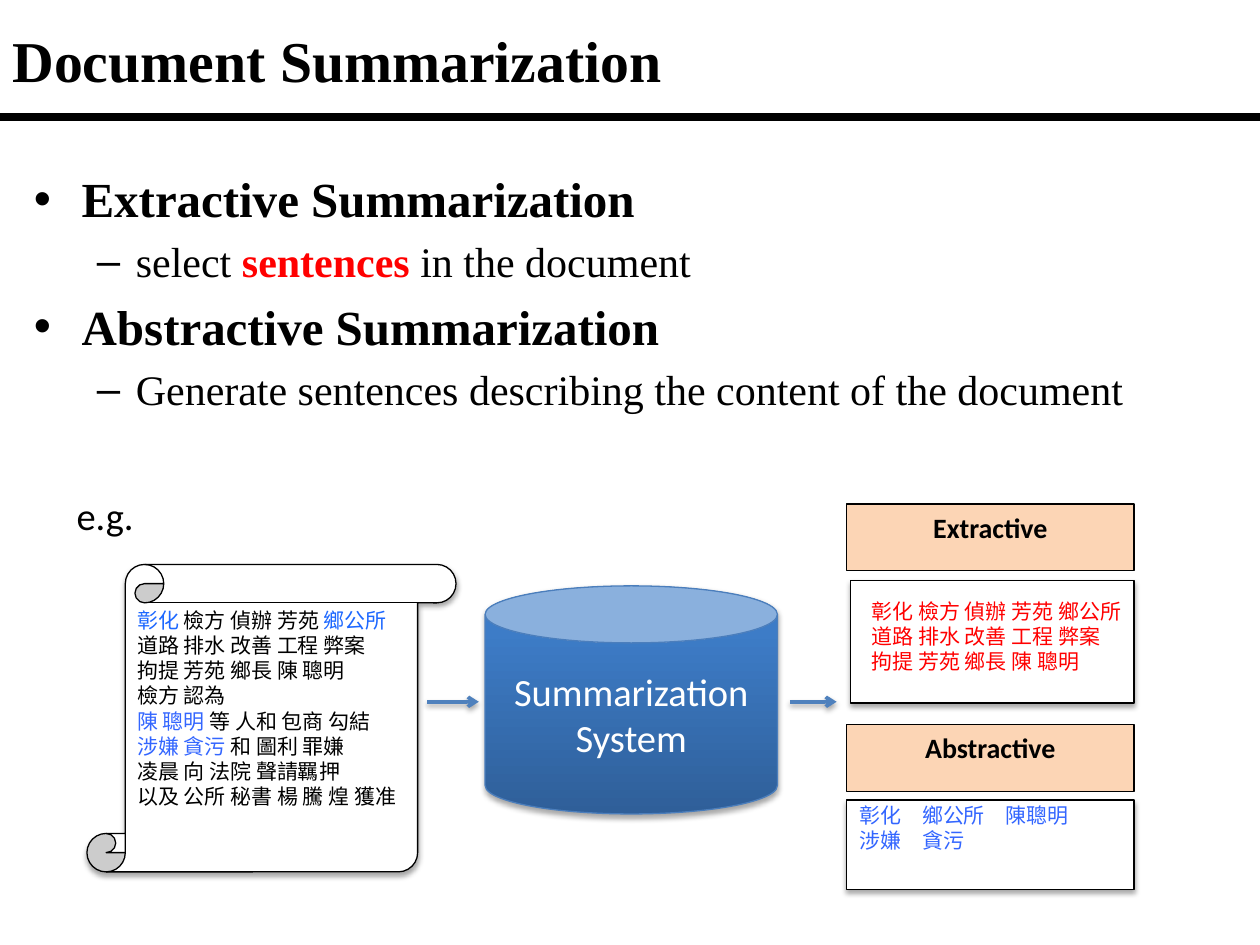
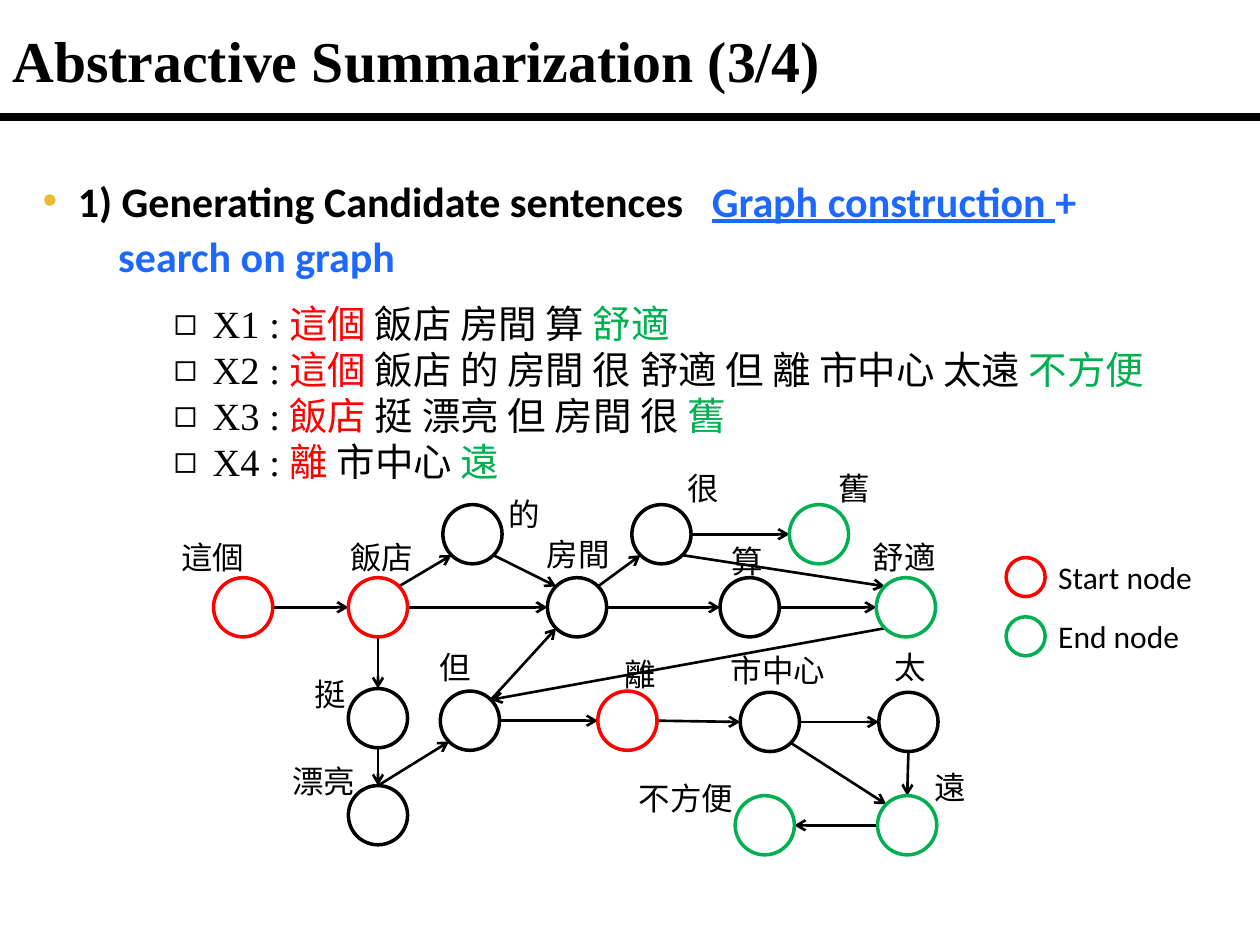
from dataclasses import dataclass

from lxml.etree import SubElement
from pptx import Presentation
from pptx.dml.color import RGBColor
from pptx.enum.shapes import MSO_CONNECTOR as CONN, MSO_SHAPE as SHAPE
from pptx.enum.text import MSO_ANCHOR as ANCHOR, PP_ALIGN as ALIGN
from pptx.oxml.ns import qn
from pptx.util import Inches, Pt


@dataclass(frozen=True)
class Theme:
    black: str = "000000"
    white: str = "FFFFFF"
    red: str = "FF0000"
    green: str = "00B050"
    blue: str = "1D68FF"
    soft_blue: str = "3366FF"
    peach: str = "FCD5B5"
    gold: str = "EABC33"
    arrow: str = "4F81BD"
    can_line: str = "4B7EBC"
    can_dark: str = "2F5F99"
    can_light: str = "3D7CC7"
    serif: str = "Times New Roman"
    sans: str = "Calibri"
    label: str = "Arial"
    title: int = 33
    head: int = 28
    sub: int = 24
    system: int = 22
    node: int = 18
    tag: int = 16
    sample: int = 12


T = Theme()

# ---- Content: a paragraph is a list of (text, format) runs ----
BOLD = {"bold": True}
RED, GREEN = {"color": T.red}, {"color": T.green}
BLUE, SOFT = {"color": T.blue}, {"color": T.soft_blue}

KINDS = [
    ("Extractive Summarization",
     [("select ", {}), ("sentences", {**RED, **BOLD}), (" in the document", {})]),
    ("Abstractive Summarization",
     [("Generate sentences describing the content of the document", {})]),
]
DOCUMENT = [
    [("彰化 ", BLUE), ("檢方 偵辦 芳苑 ", {}), ("鄉公所", BLUE)],
    [("道路 排水 改善 工程 弊案", {})],
    [("拘提 芳苑 鄉長 陳 聰明", {})],
    [("檢方 認為", {})],
    [("陳 聰明", SOFT), (" 等 人和 包商 勾結", {})],
    [("涉嫌 貪污 ", SOFT), ("和 圖利 罪嫌", {})],
    [("凌晨 向 法院 聲請羈押", {})],
    [("以及 公所 秘書 楊 騰 煌 獲准", {})],
]
EXTRACT = ["彰化 檢方 偵辦 芳苑 鄉公所", "道路 排水 改善 工程 弊案", "拘提 芳苑 鄉長 陳 聰明"]
ABSTRACT = ["彰化　鄉公所　陳聰明", "涉嫌　貪污"]

STEP = [
    # One wide space separates the step from its method
    [("1) Generating Candidate sentences", {}), (" ", {"spacing": 10.8}),
     ("Graph construction ", {**BLUE, "underline": True}), ("+", BLUE)],
    [("search on graph", BLUE)],
]
SENTENCES = [  # start word, middle words, end word
    ("這個", " 飯店 房間 算 ", "舒適"),
    ("這個", " 飯店 的 房間 很 舒適 但 離 市中心 太遠 ", "不方便"),
    ("飯店", " 挺 漂亮 但 房間 很 ", "舊"),
    ("離", " 市中心 ", "遠"),
]
NODES = {  # word: centre x, centre y, outline, label left, label top
    "這個": (1.93, 4.82, T.red, 1.34, 4.22),
    "飯店": (3.0, 4.82, T.red, 2.68, 4.22),
    "的": (3.75, 4.24, T.black, 3.94, 3.88),
    "房間": (4.58, 4.82, T.black, 4.24, 4.2),
    "很": (5.25, 4.24, T.black, 5.36, 3.67),
    "算": (5.95, 4.82, T.black, 5.71, 4.25),
    "舊": (6.5, 4.24, T.green, 6.56, 3.67),
    "舒適": (7.19, 4.82, T.green, 6.83, 4.22),
    "挺": (3.0, 5.7, T.black, 2.4, 5.31),
    "漂亮": (3.0, 6.47, T.black, 2.22, 6.0),
    "但": (3.73, 5.72, T.black, 3.39, 5.09),
    "離": (4.98, 5.72, T.red, 4.86, 5.15),
    "市中心": (6.11, 5.73, T.black, 5.7, 5.12),
    "太": (7.21, 5.73, T.black, 7.0, 5.09),
    "遠": (7.2, 6.55, T.green, 7.32, 6.05),
    "不方便": (6.07, 6.55, T.green, 4.97, 6.13),
}
EDGES = [  # from, side left, to, side entered
    ("這個", "E", "飯店", "W"), ("飯店", "E", "房間", "W"),
    ("房間", "E", "算", "W"), ("算", "E", "舒適", "W"),
    ("飯店", "NE", "的", "SW"), ("的", "SE", "房間", "NW"),
    ("房間", "NE", "很", "SW"), ("很", "E", "舊", "W"),
    ("很", "SE", "舒適", "NW"), ("舒適", "SW", "但", "NE"),
    ("飯店", "S", "挺", "N"), ("挺", "S", "漂亮", "N"),
    ("漂亮", "N", "但", "SW"), ("但", "NE", "房間", "SW"),
    ("但", "E", "離", "W"), ("離", "E", "市中心", "W"),
    ("市中心", "E", "太", "W"), ("市中心", "SE", "遠", "NW"),
    ("太", "S", "遠", "N"), ("遠", "W", "不方便", "E"),
]
LEGEND = [("Start node", T.red), ("End node", T.green)]
DIAMETER, LEGEND_DIAMETER = 0.47, 0.31


# ---- Helpers ----
def rgb(value):
    return RGBColor.from_string(value)


def add_run(p, text, fmt):
    r = p.add_run()
    r.text = text
    for name, value in fmt.items():
        if name == "color":
            r.font.color.rgb = rgb(value)
        elif name == "spacing":
            r._r.get_or_add_rPr().set("spc", str(round(value * 100)))
        else:
            setattr(r.font, name, value)


def style(size, font=T.sans, color=T.black, bold=False):
    return {"size": Pt(size), "name": font, "color": color, "bold": bold}


def fill_paragraph(p, runs, base, align=ALIGN.LEFT, before=0, margin=0, hang=0,
                   bullet=None, bullet_color=None):
    p.alignment, p.space_before = align, Pt(before)
    pPr = p._p.get_or_add_pPr()
    pPr.set("marL", str(Inches(margin)))
    pPr.set("indent", str(Inches(-hang)))
    if bullet:
        if bullet_color:
            SubElement(SubElement(pPr, qn("a:buClr")), qn("a:srgbClr"), val=bullet_color)
        SubElement(pPr, qn("a:buFont"), typeface=T.label)
        SubElement(pPr, qn("a:buChar"), char=bullet)
    for text, fmt in runs:
        add_run(p, text, {**base, **fmt})


def write(sp, paragraphs, anchor=ANCHOR.TOP):
    """Fill a shape from (runs, base format, paragraph options) triples."""
    tf = sp.text_frame
    tf.word_wrap, tf.vertical_anchor = True, anchor
    for i, (runs, base, options) in enumerate(paragraphs):
        p = tf.add_paragraph() if i else tf.paragraphs[0]
        fill_paragraph(p, runs, base, **options)


def add_text(s, box, paragraphs, anchor=ANCHOR.TOP):
    write(s.shapes.add_textbox(*map(Inches, box)), paragraphs, anchor)


def plain(lines, base, **options):
    return [([(line, {})], base, options) for line in lines]


def set_effects(sp, shadow):
    effects = SubElement(sp._element.spPr, qn("a:effectLst"))
    if shadow:
        outer = SubElement(effects, qn("a:outerShdw"), blurRad=str(Pt(3.1)),
                           dist=str(Pt(1.8)), dir="5400000", rotWithShape="0")
        color = SubElement(outer, qn("a:srgbClr"), val=T.black)
        SubElement(color, qn("a:alpha"), val="35000")


def add_shape(s, kind, box, fill=T.white, line=T.black, width=0.75, shadow=False):
    sp = s.shapes.add_shape(kind, *map(Inches, box))
    if fill:
        sp.fill.solid()
        sp.fill.fore_color.rgb = rgb(fill)
    sp.line.color.rgb, sp.line.width = rgb(line), Pt(width)
    set_effects(sp, shadow)
    return sp


def add_line(s, start, end, color=T.black, width=1.5, arrow=True, shadow=False):
    cx = s.shapes.add_connector(CONN.STRAIGHT, *map(Inches, (*start, *end)))
    cx.line.color.rgb, cx.line.width = rgb(color), Pt(width)
    if arrow:
        SubElement(cx.line._get_or_add_ln(), qn("a:tailEnd"), type="arrow")
    set_effects(cx, shadow)


def add_circle(s, x, y, diameter, color):
    box = (x - diameter / 2, y - diameter / 2, diameter, diameter)
    add_shape(s, SHAPE.OVAL, box, line=color, width=2)


def rim_point(word, side):
    x, y = NODES[word][:2]
    reach = DIAMETER / 2 * (0.5 ** 0.5 if len(side) == 2 else 1)
    dx = ("E" in side) - ("W" in side)
    dy = ("S" in side) - ("N" in side)
    return x + dx * reach, y + dy * reach


def new_slide(prs, title):
    s = prs.slides.add_slide(prs.slide_layouts[6])
    add_text(s, (0, 0.08, 9.99, 0.79),
             plain([title], style(T.title, T.serif, bold=True)), ANCHOR.MIDDLE)
    add_line(s, (0, 0.93), (10, 0.93), width=4.5, arrow=False)
    return s


# ---- Slides ----
def summarization_slide(prs):
    s = new_slide(prs, "Document Summarization")

    # Two kinds of summarization
    body = []
    for i, (head, detail) in enumerate(KINDS):
        body.append(([(head, BOLD)], style(T.head, T.serif),
                     dict(margin=0.38, hang=0.38, bullet="•", before=5.6 if i else 0)))
        body.append((detail, style(T.sub, T.serif),
                     dict(margin=0.81, hang=0.31, bullet="–", before=4.8)))
    add_text(s, (0.17, 1.29, 9.56, 2.05), body)

    # Source document
    add_text(s, (0.51, 3.86, 0.95, 0.47), plain(["e.g."], style(T.system)))
    add_shape(s, SHAPE.VERTICAL_SCROLL, (0.69, 4.48, 2.93, 2.44), shadow=True)
    add_text(s, (0.99, 4.77, 2.37, 1.72),
             [(runs, style(T.sample), {}) for runs in DOCUMENT])

    # System with its input and output arrows
    can = add_shape(s, SHAPE.CAN, (3.85, 4.65, 2.32, 1.81), None, T.can_line, shadow=True)
    can.fill.gradient()
    can.fill.gradient_angle = 90
    for stop, color, place in zip(can.fill.gradient_stops, (T.can_dark, T.can_light), (0, 0.8)):
        stop.color.rgb, stop.position = rgb(color), place
    write(can, plain(["Summarization", "System"], style(T.system, color=T.white),
                     align=ALIGN.CENTER), ANCHOR.MIDDLE)
    for left, right in ((3.39, 3.8), (6.27, 6.64)):
        add_line(s, (left, 5.57), (right, 5.57), T.arrow, 2, shadow=True)

    # Resulting summaries
    results = [
        ("Extractive", 4.0, (6.75, 4.61, 2.25, 0.97), (6.82, 4.7, 2.28, 0.88), EXTRACT, T.red),
        ("Abstractive", 5.75, (6.72, 6.35, 2.28, 0.71), (6.72, 6.32, 2.28, 0.71),
         ABSTRACT, T.soft_blue),
    ]
    for name, top, frame, text_box, lines, color in results:
        tag = add_shape(s, SHAPE.RECTANGLE, (6.72, top, 2.28, 0.53), T.peach)
        write(tag, plain([name], style(T.tag, bold=True), align=ALIGN.CENTER))
        add_shape(s, SHAPE.FLOWCHART_PROCESS, frame, shadow=True)
        add_text(s, text_box, plain(lines, style(T.sample, color=color)))


def graph_slide(prs):
    s = new_slide(prs, "Abstractive Summarization (3/4)")

    # Step heading and example sentences
    heading = style(T.sub, bold=True)
    add_text(s, (0.12, 1.34, 9.76, 1), [
        (STEP[0], heading, dict(margin=0.4, hang=0.28, bullet="•", bullet_color=T.gold)),
        (STEP[1], heading, dict(margin=0.72, before=3)),
    ])
    add_text(s, (1.28, 2.33, 8.41, 1.58), [
        ([(f"X{i} : ", {}), (start, RED), (middle, {}), (end, GREEN)],
         style(T.system, T.serif), dict(margin=0.31, hang=0.31, bullet="◻"))
        for i, (start, middle, end) in enumerate(SENTENCES, 1)])

    # Word graph
    for tail, exit_side, head, entry_side in EDGES:
        add_line(s, rim_point(tail, exit_side), rim_point(head, entry_side))
    for x, y, color, *_ in NODES.values():
        add_circle(s, x, y, DIAMETER, color)
    for word, (*_, left, top) in NODES.items():
        add_text(s, (left, top, 0.25 * len(word) + 0.3, 0.4),
                 plain([word], style(T.node, T.label)))

    # Legend
    for i, (name, color) in enumerate(LEGEND):
        y = 4.58 + 0.47 * i
        add_circle(s, 8.14, y, LEGEND_DIAMETER, color)
        add_text(s, (8.3, y - 0.2, 1.39, 0.4), plain([name], style(T.node)))


def main():
    prs = Presentation()
    prs.slide_width, prs.slide_height = Inches(10), Inches(7.5)
    summarization_slide(prs)
    graph_slide(prs)
    prs.save("out.pptx")


if __name__ == "__main__":
    main()
